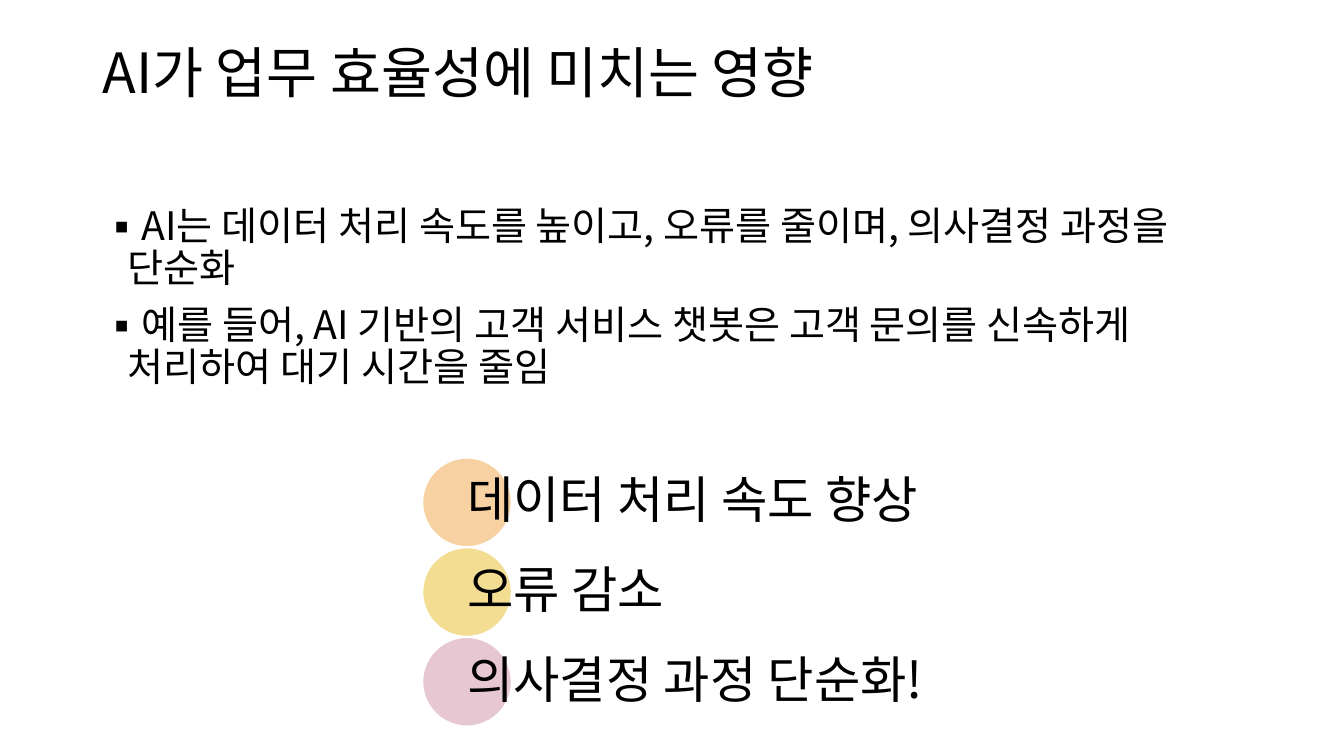
from dataclasses import dataclass

from lxml.etree import SubElement
from pptx import Presentation
from pptx.dml.color import RGBColor as Color
from pptx.enum.shapes import MSO_SHAPE as Preset
from pptx.enum.text import MSO_ANCHOR as Anchor
from pptx.oxml.ns import qn
from pptx.util import Cm, Pt


@dataclass(frozen=True)
class Theme:
    font: str = "Noto Sans CJK KR"
    text: str = "000000"
    outline: str = "FFFFFF"
    circles: tuple = ("F3A447", "E7BC29", "D092A7")
    circle_opacity: int = 50
    title_size: float = 39.6
    body_size: float = 28
    benefit_size: float = 36
    line_spacing: float = 0.9


THEME = Theme()

TITLE = "AI가 업무 효율성에 미치는 영향"
POINTS = [
    "AI는 데이터 처리 속도를 높이고, 오류를 줄이며, 의사결정 과정을 단순화",
    "예를 들어, AI 기반의 고객 서비스 챗봇은 고객 문의를 신속하게 처리하여 대기 시간을 줄임",
]
BENEFITS = ["데이터 처리 속도 향상", "오류 감소", "의사결정 과정 단순화!"]


def add_bullet(paragraph, indent):
    properties = paragraph._p.get_or_add_pPr()
    properties.set("marL", str(indent))
    properties.set("indent", str(-indent))
    SubElement(properties, qn("a:buFont"), typeface=THEME.font)
    SubElement(properties, qn("a:buChar"), char="▪")


def add_text(slide, box, lines, *, size, anchor=Anchor.TOP, side_inset=Cm(0.25),
             bullet_indent=None, gap=0):
    """Place one paragraph per line in box: left, top, width, height in cm."""
    shape = slide.shapes.add_textbox(*map(Cm, box))
    frame = shape.text_frame
    frame.word_wrap = True
    frame.vertical_anchor = anchor
    frame.margin_left = frame.margin_right = side_inset
    for index, line in enumerate(lines):
        paragraph = frame.add_paragraph() if index else frame.paragraphs[0]
        if bullet_indent:
            add_bullet(paragraph, bullet_indent)
        paragraph.line_spacing = THEME.line_spacing
        paragraph.space_before = Pt(gap if index else 0)
        run = paragraph.add_run()
        run.text = line
        run.font.size = Pt(size)
        run.font.name = THEME.font
        run.font.color.rgb = Color.from_string(THEME.text)
        SubElement(run._r.get_or_add_rPr(), qn("a:ea"), typeface=THEME.font)


def add_circle(slide, left, top, diameter, color):
    shape = slide.shapes.add_shape(
        Preset.OVAL, Cm(left), Cm(top), Cm(diameter), Cm(diameter))
    shape.shadow.inherit = False
    shape.fill.solid()
    shape.fill.fore_color.rgb = Color.from_string(color)
    fill_color = shape._element.spPr.find(qn("a:solidFill")).find(qn("a:srgbClr"))
    SubElement(fill_color, qn("a:alpha"), val=str(THEME.circle_opacity * 1000))
    shape.line.color.rgb = Color.from_string(THEME.outline)
    shape.line.width = Pt(1.5)


def add_title(slide, box):
    add_text(slide, box, [TITLE], size=THEME.title_size, anchor=Anchor.MIDDLE)


def add_points(slide, box):
    add_text(slide, box, POINTS, size=THEME.body_size,
             bullet_indent=Cm(0.64), gap=10)


def add_benefits(slide, box):
    """Stack rows of a circle and a label that starts at the circle's centre."""
    left, top, width, height = box
    row_height = height / len(BENEFITS)
    radius = row_height / 2
    for index, (label, color) in enumerate(zip(BENEFITS, THEME.circles)):
        row_top = top + index * row_height
        add_circle(slide, left, row_top, row_height, color)
        add_text(slide, (left + radius, row_top, width - radius, row_height),
                 [label], size=THEME.benefit_size, anchor=Anchor.MIDDLE,
                 side_inset=0)


def main():
    presentation = Presentation()
    presentation.slide_width = Cm(33.87)
    presentation.slide_height = Cm(19.05)
    slide = presentation.slides.add_slide(presentation.slide_layouts[6])

    # Heading and explanation
    add_title(slide, (2.33, 1.02, 29.21, 1.75))
    add_points(slide, (2.33, 5.08, 29.21, 12.09))

    # Three benefits
    add_benefits(slide, (10.64, 11.53, 13.2, 6.78))

    presentation.save("out.pptx")


if __name__ == "__main__":
    main()
